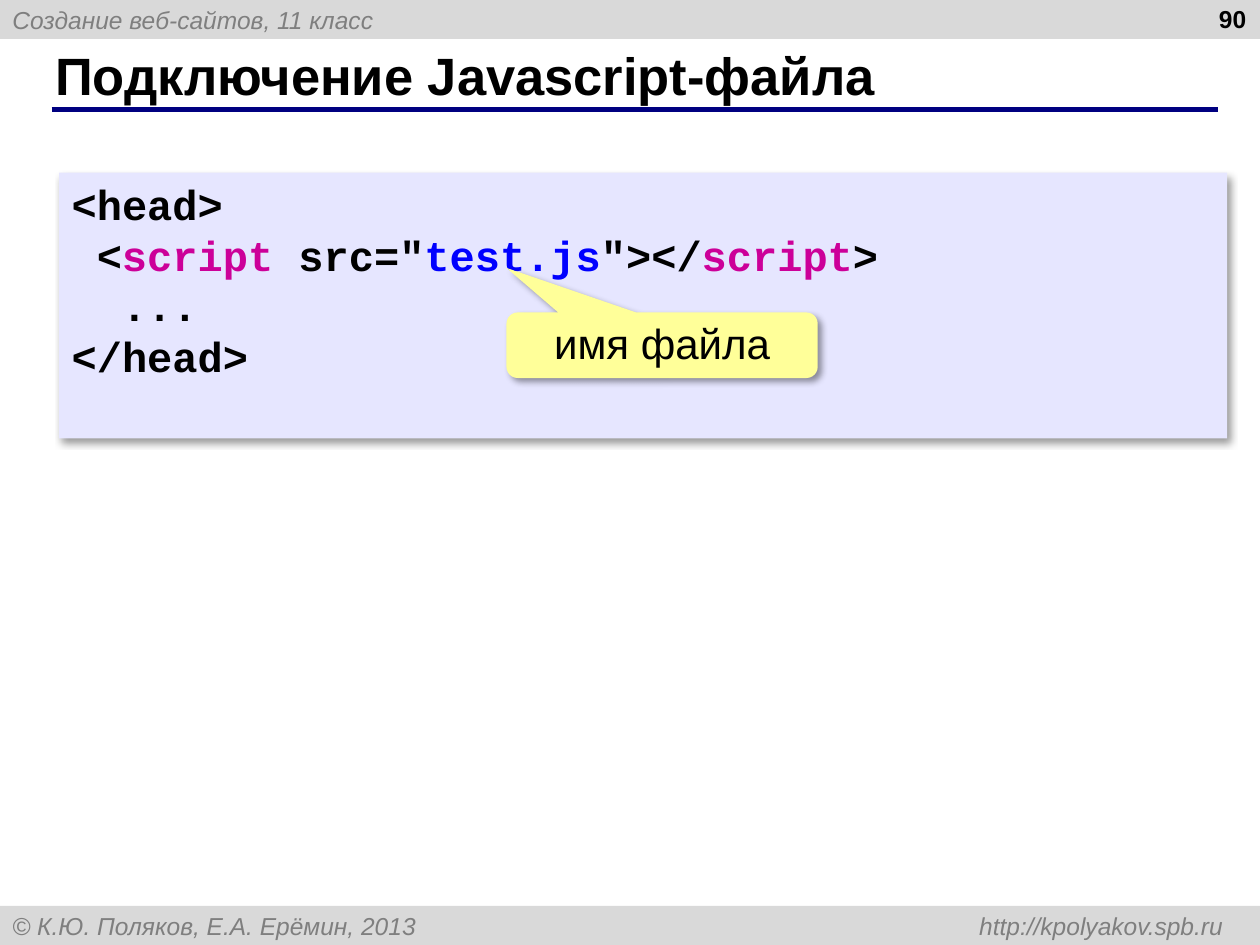
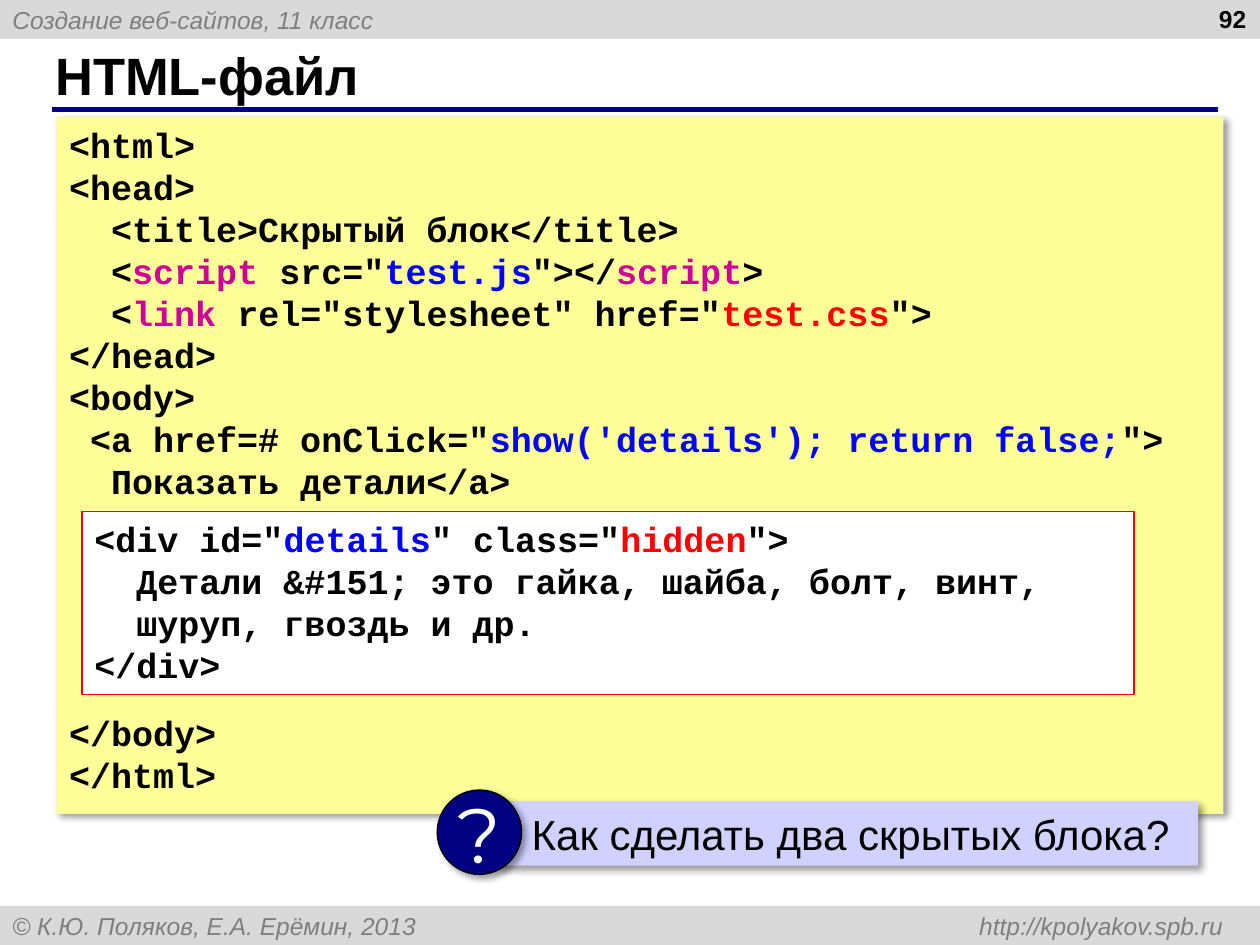
from lxml.etree import SubElement
from pptx import Presentation
from pptx.dml.color import RGBColor
from pptx.enum.shapes import MSO_CONNECTOR, MSO_SHAPE
from pptx.enum.text import MSO_ANCHOR, PP_ALIGN
from pptx.oxml.ns import qn
from pptx.util import Inches, Pt

COLORS = {
    "black": "000000",
    "white": "FFFFFF",
    "band": "D9D9D9",
    "band_text": "7F7F7F",
    "navy": "000080",
    "lavender": "E6E6FF",
    "question": "D1D1FF",
    "yellow": "FFFF99",
    "tag": "CC0099",
    "blue": "0000FF",
    "red": "FF0000",
}
TEXT_FONT = "Arial"
CODE_FONT = "Courier New"
SYMBOL_FONT = "Montserrat"
CODE_CHARACTER_WIDTH = 0.6  # share of the font size

SCRIPT_LINE = [
    ("<", "black"), ("script ", "tag"), ('src="', "black"), ("test.js", "blue"),
    ('"></', "black"), ("script", "tag"), (">", "black"),
]
# Each code line is (indent in characters, spans); a plain string is one black span.
HEAD_CODE = [(0, "<head>"), (1, SCRIPT_LINE), (2, "..."), (0, "</head>")]
PAGE_CODE = [
    (0, "<html>"),
    (0, "<head>"),
    (2, "<title>Скрытый блок</title>"),
    (2, SCRIPT_LINE),
    (2, [("<", "black"), ("link ", "tag"), ('rel="stylesheet" href="', "black"),
         ("test.css", "red"), ('">', "black")]),
    (0, "</head>"),
    (0, "<body>"),
    (1, [('<a href=# onClick="', "black"),
         ("show('details'); return false;", "blue"), ('">', "black")]),
    (2, "Показать детали</a>"),
    (0, "</body>"),
    (0, "</html>"),
]
DETAILS_CODE = [
    (0, [('<div id="', "black"), ("details", "blue"), ('" class="', "black"),
         ("hidden", "red"), ('">', "black")]),
    (2, "Детали &#151; это гайка, шайба, болт, винт,"),
    (2, "шуруп, гвоздь и др."),
    (0, "</div>"),
]


def rgb(name):
    return RGBColor.from_string(COLORS[name])


def style_font(font, size, color="black", name=TEXT_FONT, bold=False, italic=False):
    font.name = name
    font.size = Pt(size)
    font.bold = bold
    font.italic = italic
    font.color.rgb = rgb(color)


def set_frame(shape, anchor=MSO_ANCHOR.TOP, left=0.1, top=0.05, right=0.1):
    frame = shape.text_frame
    frame.word_wrap = True
    frame.vertical_anchor = anchor
    frame.margin_left, frame.margin_top = Inches(left), Inches(top)
    frame.margin_right, frame.margin_bottom = Inches(right), Inches(0.05)
    return frame


def write_line(frame, text, size, align=PP_ALIGN.LEFT, **font_style):
    paragraph = frame.paragraphs[0]
    paragraph.text = text
    paragraph.alignment = align
    for run in paragraph.runs:
        style_font(run.font, size, **font_style)
    return paragraph


def add_shadow(shape):
    effects = shape._element.spPr.find(qn("a:effectLst"))
    shadow = SubElement(effects, qn("a:outerShdw"), blurRad=str(Pt(4)), dist=str(Pt(3)),
                        dir="2700000", algn="tl", rotWithShape="0")
    color = SubElement(shadow, qn("a:srgbClr"), val=COLORS["black"])
    SubElement(color, qn("a:alpha"), val="40000")


def add_figure(shapes, kind, place, fill, outline=None, shadow=False):
    figure = shapes.add_shape(kind, *map(Inches, place))
    figure.shadow.inherit = False
    figure.fill.solid()
    figure.fill.fore_color.rgb = rgb(fill)
    if outline:
        figure.line.color.rgb = rgb(outline)
        figure.line.width = Pt(0.75)
    else:
        figure.line.fill.background()
    if shadow:
        add_shadow(figure)
    return figure


def add_band(page, top, text):
    band = add_figure(page.shapes, MSO_SHAPE.RECTANGLE, (0, top, 10, 0.31), "band")
    return write_line(set_frame(band, MSO_ANCHOR.MIDDLE), text, 14,
                      color="band_text", italic=True)


def add_label(page, place, text, size, anchor, align):
    label = page.shapes.add_textbox(*map(Inches, place))
    write_line(set_frame(label, anchor), text, size, align, bold=True)


def add_rule(page):
    rule = page.shapes.add_connector(MSO_CONNECTOR.STRAIGHT, Inches(0.41), Inches(0.87),
                                     Inches(9.67), Inches(0.87))
    rule.line.color.rgb = rgb("navy")
    rule.line.width = Pt(3)
    SubElement(rule._element.spPr, qn("a:effectLst"))


def add_page(deck, title, number):
    """Add a slide with the bands, rule, title and page number common to all."""
    page = deck.slides.add_slide(deck.slide_layouts[6])
    add_band(page, 0, "Создание веб-сайтов, 11 класс")
    footer = add_band(page, 7.19,
                      "© К.Ю. Поляков, Е.А. Ерёмин, 2013 \thttp://kpolyakov.spb.ru")
    tabs = SubElement(footer._p.get_or_add_pPr(), qn("a:tabLst"))
    SubElement(tabs, qn("a:tab"), pos=str(Inches(9.61)), algn="r")
    add_rule(page)
    add_label(page, (0.34, 0.33, 9.16, 0.52), title, 30, MSO_ANCHOR.MIDDLE, PP_ALIGN.LEFT)
    add_label(page, (7.66, -0.02, 2.33, 0.52), str(number), 14,
              MSO_ANCHOR.TOP, PP_ALIGN.RIGHT)
    return page


def add_code(page, place, lines, size, fill, outline=None, gaps=None):
    """Add a code panel; gaps maps a line's index to the points of space above it."""
    panel = add_figure(page.shapes, MSO_SHAPE.RECTANGLE, place, fill, outline,
                       shadow=outline is None)
    frame = set_frame(panel, right=0)
    for index, (indent, spans) in enumerate(lines):
        paragraph = frame.add_paragraph() if index else frame.paragraphs[0]
        paragraph.alignment = PP_ALIGN.LEFT
        margin = Pt(indent * size * CODE_CHARACTER_WIDTH)
        properties = paragraph._p.get_or_add_pPr()
        properties.set("marL", str(margin))
        properties.set("indent", "0")
        if gaps and index in gaps:
            paragraph.space_before = Pt(gaps[index])
        for text, color in [(spans, "black")] if isinstance(spans, str) else spans:
            span = paragraph.add_run()
            span.text = text
            style_font(span.font, size, color, CODE_FONT, bold=True)


def add_callout(page, place, text, adjustments):
    callout = add_figure(page.shapes, MSO_SHAPE.ROUNDED_RECTANGULAR_CALLOUT, place,
                         "yellow", shadow=True)
    for index, value in enumerate(adjustments):
        callout.adjustments[index] = value
    paragraph = write_line(set_frame(callout, top=0.09), text, 24, PP_ALIGN.CENTER)
    paragraph.line_spacing = 0.8


def add_question(page, left, top, text):
    """Add a question bar with a round question mark over its left end."""
    group = page.shapes.add_group_shape()
    bar = add_figure(group.shapes, MSO_SHAPE.RECTANGLE,
                     (left + 0.46, top + 0.09, 5.58, 0.51), "question", shadow=True)
    write_line(set_frame(bar, MSO_ANCHOR.MIDDLE, left=0.29), text, 24)
    badge = add_figure(group.shapes, MSO_SHAPE.OVAL, (left, top, 0.67, 0.67),
                       "navy", "black", shadow=True)
    frame = set_frame(badge, MSO_ANCHOR.MIDDLE)
    frame.word_wrap = False
    write_line(frame, "?", 44, PP_ALIGN.CENTER, color="white", name=SYMBOL_FONT)


def main():
    deck = Presentation()
    deck.slide_width, deck.slide_height = Inches(10), Inches(7.5)

    page = add_page(deck, "Подключение Javascript-файла", 90)
    add_code(page, (0.47, 1.37, 9.27, 2.11), HEAD_CODE, 24, "lavender")
    add_callout(page, (4.02, 2.48, 2.47, 0.52), "имя файла", (-0.5, -1.18, 0.17))

    page = add_page(deck, "HTML-файл", 92)
    body_end = len(PAGE_CODE) - 2
    add_code(page, (0.45, 0.93, 9.26, 5.53), PAGE_CODE, 20, "yellow", gaps={body_end: 120})
    add_code(page, (0.65, 4.06, 8.35, 1.45), DETAILS_CODE, 20, "white", "red")
    add_question(page, 3.47, 6.27, "Как сделать два скрытых блока?")

    deck.save("out.pptx")


if __name__ == "__main__":
    main()
